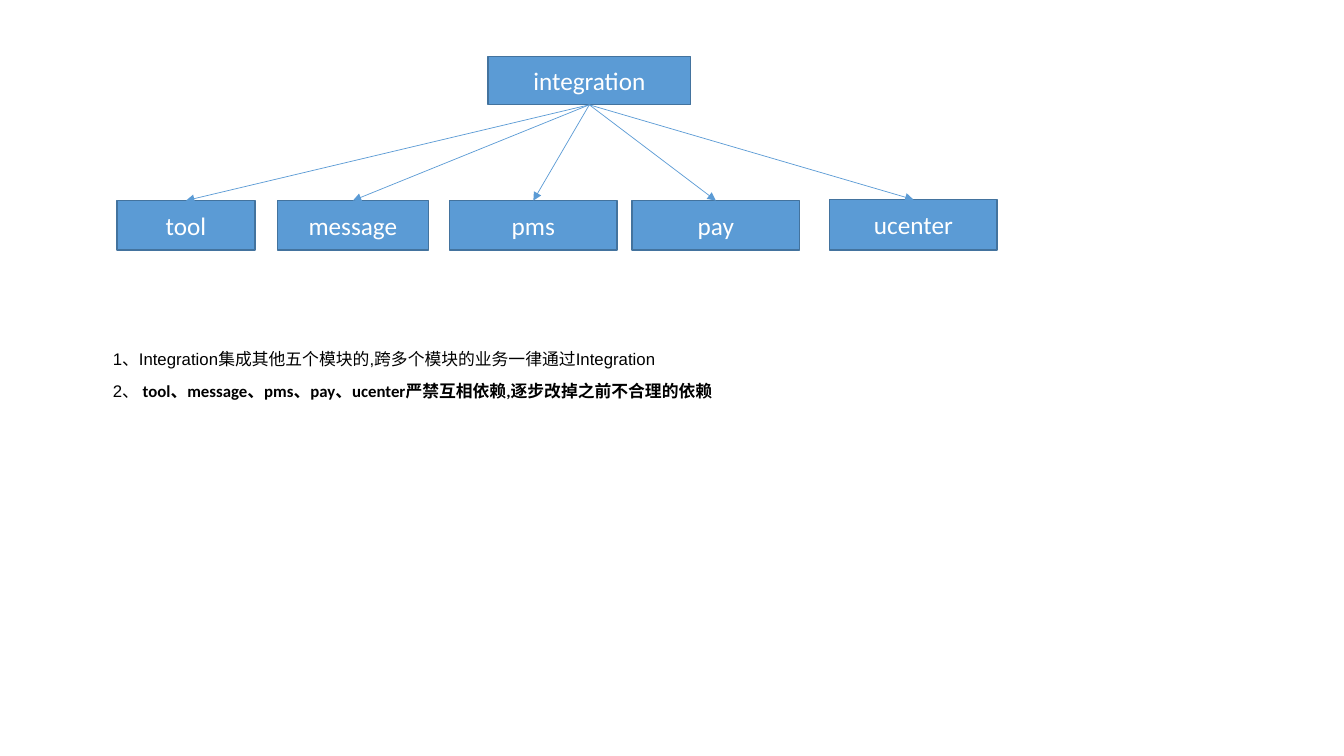
"""Build the slide showing how integration depends on the five modules."""
from lxml.etree import SubElement
from pptx import Presentation
from pptx.dml.color import RGBColor
from pptx.enum.shapes import MSO_CONNECTOR, MSO_SHAPE
from pptx.enum.text import MSO_ANCHOR, PP_ALIGN
from pptx.oxml.ns import qn
from pptx.util import Inches, Pt

FILL, BORDER, WHITE, BLACK = "5B9BD5", "43739E", "FFFFFF", "000000"
BOTTOM_SITE, TOP_SITE = 2, 0

INTEGRATION = ("integration", 4.84, 0.56, 2.01, 0.48)
MODULES = [
    ("tool", 1.16, 1.99, 1.37, 0.49),
    ("message", 2.75, 1.99, 1.5, 0.49),
    ("pms", 4.46, 1.99, 1.66, 0.49),
    ("pay", 6.27, 1.99, 1.66, 0.49),
    ("ucenter", 8.23, 1.98, 1.66, 0.5),
]
RULES_AREA = (1.02, 3.43, 10.65, 2.32)
RULES = [
    [("1、Integration集成其他五个模块的,跨多个模块的业务一律通过Integration", "Arial", False)],
    [("2、 ", "Arial", False),
     ("tool、message、pms、pay、ucenter严禁互相依赖,逐步改掉之前不合理的依赖", "Calibri", True)],
]


def color(hex_string):
    return RGBColor.from_string(hex_string)


def add_run(paragraph, text, font_name, size, hex_string, bold=False):
    run = paragraph.add_run()
    run.text = text
    run.font.name = font_name
    run.font.size = Pt(size)
    run.font.bold = bold
    run.font.color.rgb = color(hex_string)


def add_module(slide, name, *area):
    module = slide.shapes.add_shape(MSO_SHAPE.RECTANGLE, *map(Inches, area))
    module.shadow.inherit = False
    module.fill.solid()
    module.fill.fore_color.rgb = color(FILL)
    module.line.color.rgb = color(BORDER)
    module.line.width = Pt(1)
    module.text_frame.vertical_anchor = MSO_ANCHOR.MIDDLE
    label = module.text_frame.paragraphs[0]
    label.alignment = PP_ALIGN.CENTER
    add_run(label, name, "Calibri", 18, WHITE)
    return module


def add_dependency(slide, user, used):
    arrow = slide.shapes.add_connector(MSO_CONNECTOR.STRAIGHT, 0, 0, 0, 0)
    arrow.begin_connect(user, BOTTOM_SITE)
    arrow.end_connect(used, TOP_SITE)
    arrow.line.color.rgb = color(FILL)
    arrow.line.width = Pt(0.5)
    SubElement(arrow.line._get_or_add_ln(), qn("a:tailEnd"), type="triangle")
    SubElement(arrow._element.spPr, qn("a:effectLst"))


def add_rules(slide):
    frame = slide.shapes.add_textbox(*map(Inches, RULES_AREA)).text_frame
    frame.word_wrap = True
    for index, rule in enumerate(RULES):
        paragraph = frame.add_paragraph() if index else frame.paragraphs[0]
        paragraph.line_spacing = 0.9
        paragraph.space_before = Pt(10)
        for text, font_name, bold in rule:
            add_run(paragraph, text, font_name, 12, BLACK, bold)


presentation = Presentation()
presentation.slide_width = Inches(13.33)
presentation.slide_height = Inches(7.5)
slide = presentation.slides.add_slide(presentation.slide_layouts[6])

add_rules(slide)
integration = add_module(slide, *INTEGRATION)
modules = [add_module(slide, *module) for module in MODULES]
for module in modules:
    add_dependency(slide, integration, module)

presentation.save("out.pptx")
